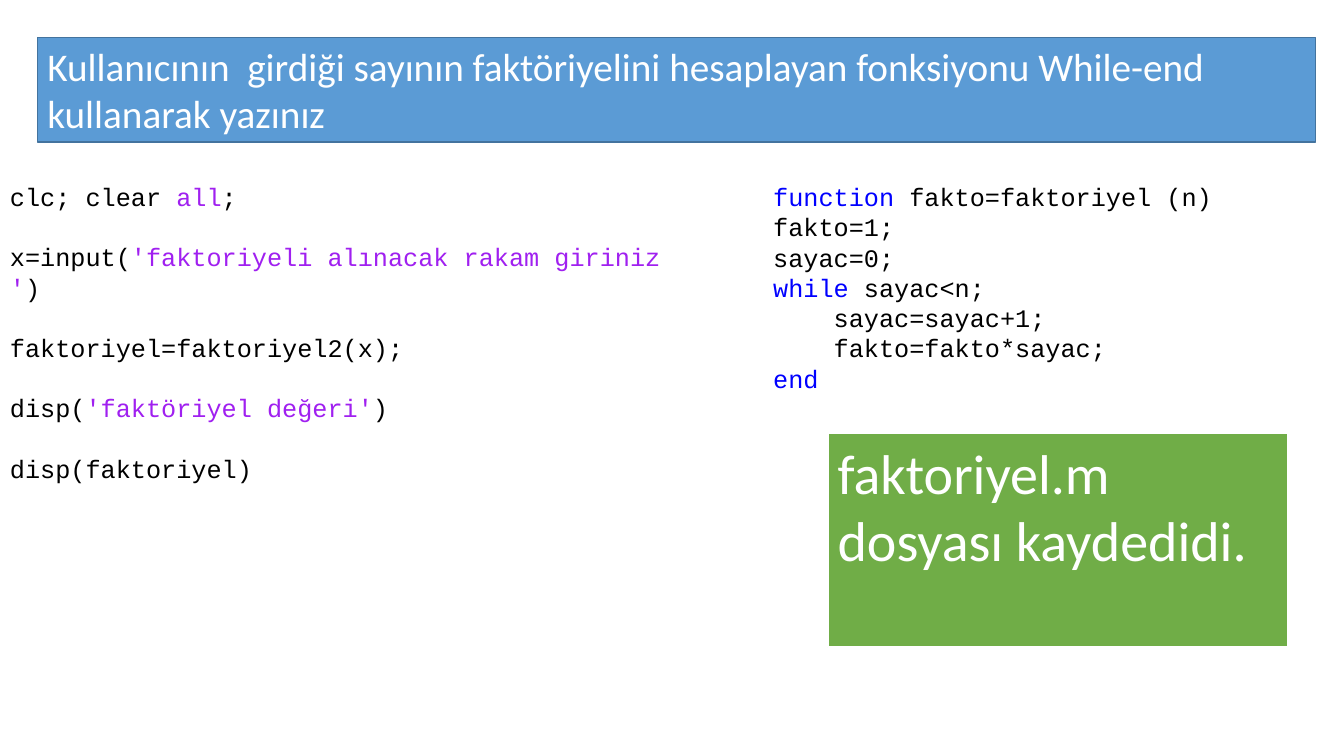
import pptx
import pptx.dml.color
import pptx.enum.shapes
import pptx.enum.text
import pptx.util

Inches = pptx.util.Inches
Pt = pptx.util.Pt

BLACK, WHITE = "000000", "FFFFFF"
KEYWORD, STRING = "0000FF", "A020F0"
BLUE, DARK_BLUE, GREEN = "5B9BD5", "43739E", "70AD47"


def colour(hex_code):
    return pptx.dml.color.RGBColor.from_string(hex_code)


class FactorialSlide:
    prose_font = "Calibri"
    code_font = "Courier New"
    code_size = 18
    code_indent = 0.6

    def __init__(self, deck):
        self.slide = deck.slides.add_slide(deck.slide_layouts[5])

    def run(self, paragraph, words, font, size, hex_code):
        run = paragraph.add_run()
        run.text = words
        run.font.name = font
        run.font.size = Pt(size)
        run.font.color.rgb = colour(hex_code)

    def panel(self, shape, words, size, fill, line, line_width):
        shape.fill.solid()
        shape.fill.fore_color.rgb = colour(fill)
        shape.line.color.rgb = colour(line)
        shape.line.width = Pt(line_width)
        frame = shape.text_frame
        frame.word_wrap = True
        frame.auto_size = pptx.enum.text.MSO_AUTO_SIZE.NONE
        frame.vertical_anchor = pptx.enum.text.MSO_ANCHOR.TOP
        paragraph = frame.paragraphs[0]
        paragraph.alignment = pptx.enum.text.PP_ALIGN.LEFT
        paragraph.line_spacing = 1.0
        self.run(paragraph, words, self.prose_font, size, WHITE)

    def heading(self, words, left, top, width, height):
        title = self.slide.shapes.title
        title.left, title.top = Inches(left), Inches(top)
        title.width, title.height = Inches(width), Inches(height)
        self.panel(title, words, 28, BLUE, DARK_BLUE, 1)

    def note(self, words, left, top, width, height):
        box = self.slide.shapes.add_shape(
            pptx.enum.shapes.MSO_SHAPE.RECTANGLE,
            Inches(left), Inches(top), Inches(width), Inches(height))
        box.shadow.inherit = False
        self.panel(box, words, 40, GREEN, WHITE, 1.5)

    def code(self, lines, left, top, width, height, gap=0):
        listing = self.slide.shapes.add_textbox(
            Inches(left), Inches(top), Inches(width), Inches(height))
        frame = listing.text_frame
        frame.word_wrap = True
        for number, (level, pieces) in enumerate(lines):
            paragraph = frame.add_paragraph() if number else frame.paragraphs[0]
            paragraph.space_after = Pt(gap)
            if level:
                properties = paragraph._p.get_or_add_pPr()
                properties.set("marL", str(Inches(level * self.code_indent)))
            for words, hex_code in pieces:
                self.run(paragraph, words, self.code_font, self.code_size, hex_code)


def main():
    deck = pptx.Presentation()
    deck.slide_width, deck.slide_height = Inches(13.33), Inches(7.5)
    page = FactorialSlide(deck)

    page.heading(
        "Kullanıcının  girdiği sayının faktöriyelini hesaplayan fonksiyonu "
        "While-end kullanarak yazınız", 0.37, 0.37, 12.68, 1.04)

    main_program = [
        (0, [("clc; clear ", BLACK), ("all", STRING), (";", BLACK)]),
        (0, [("x=input(", BLACK),
             ("'faktoriyeli alınacak rakam giriniz '", STRING), (")", BLACK)]),
        (0, [("faktoriyel=faktoriyel2(x);", BLACK)]),
        (0, [("disp(", BLACK), ("'faktöriyel değeri'", STRING), (")", BLACK)]),
        (0, [("disp(faktoriyel)", BLACK)]),
    ]
    page.code(main_program, 0, 1.75, 7.08, 2.83, gap=21.5)

    factorial_function = [
        (0, [("function ", KEYWORD), ("fakto=faktoriyel (n)", BLACK)]),
        (0, [("fakto=1;", BLACK)]),
        (0, [("sayac=0;", BLACK)]),
        (0, [("while ", KEYWORD), ("sayac<n;", BLACK)]),
        (1, [("sayac=sayac+1;", BLACK)]),
        (1, [("fakto=fakto*sayac;", BLACK)]),
        (0, [("end", KEYWORD)]),
    ]
    page.code(factorial_function, 7.57, 1.75, 5.62, 2.22)

    page.note("faktoriyel.m dosyası kaydedidi.", 8.21, 4.3, 4.57, 2.12)

    deck.save("out.pptx")


if __name__ == "__main__":
    main()
